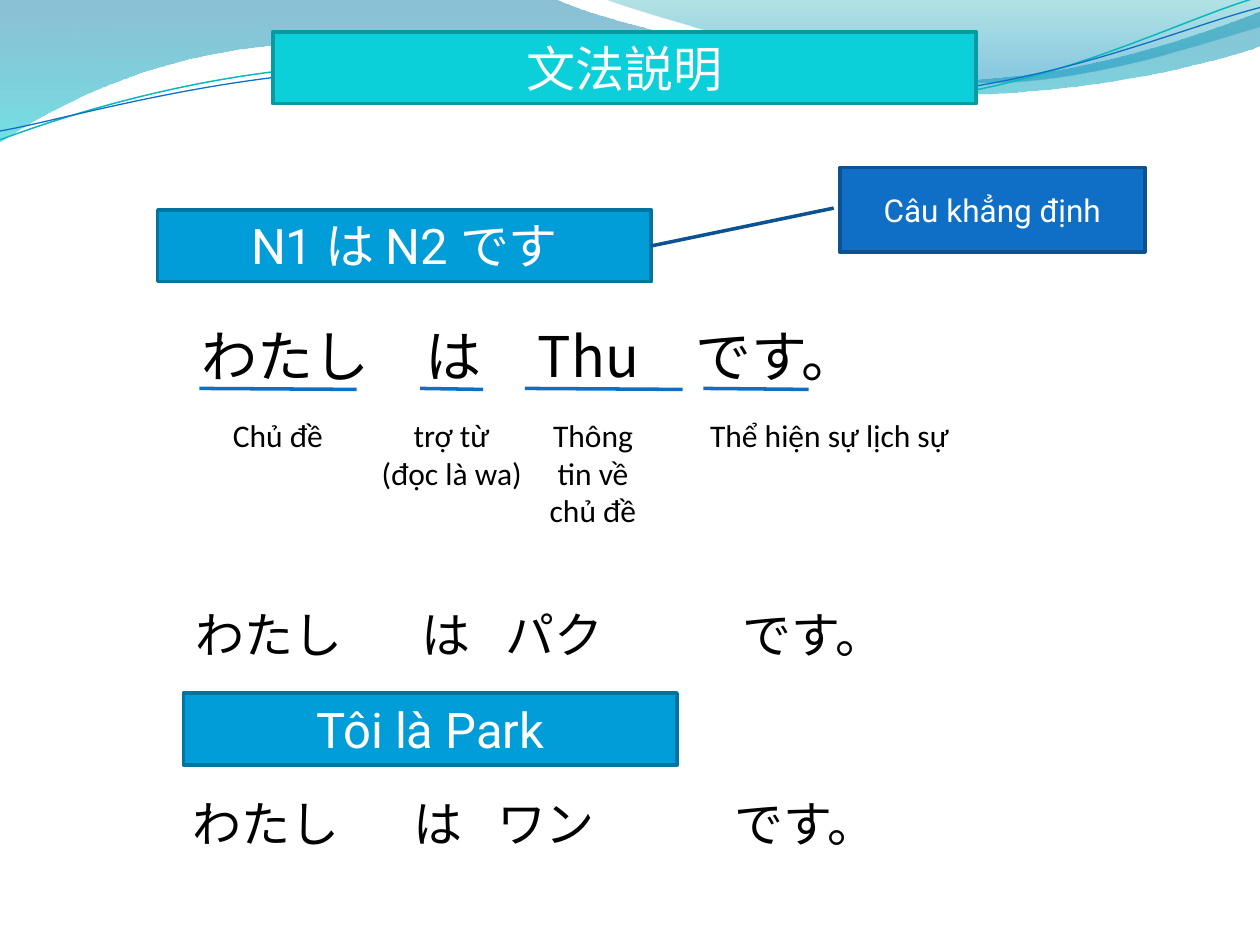
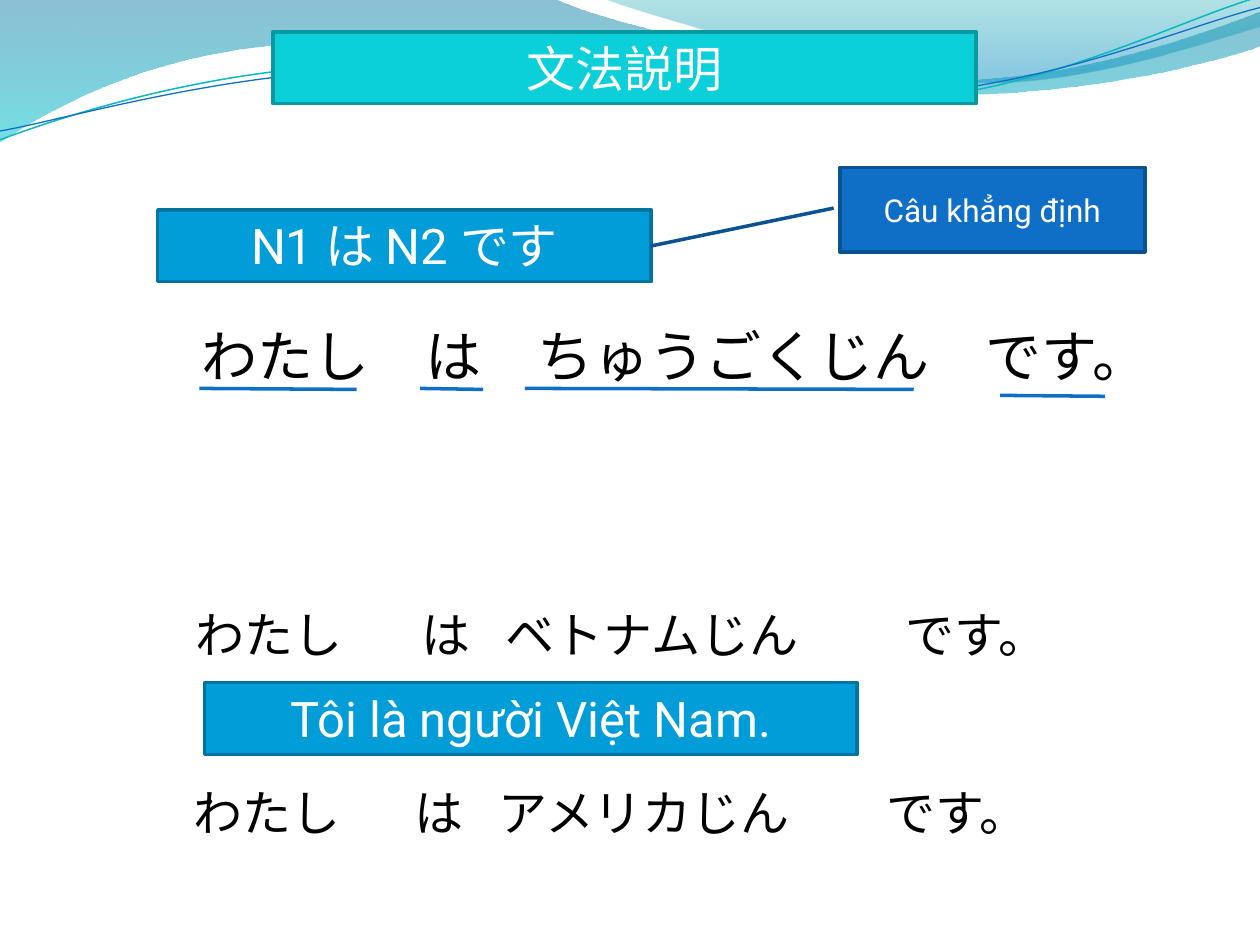
from dataclasses import dataclass

from lxml import etree
from pptx import Presentation
from pptx import util as u
from pptx.dml.color import RGBColor
from pptx.enum import shapes, text
from pptx.oxml.ns import qn

COLOURS = {
    "white": "FFFFFF", "black": "000000",
    "title": "0BD0D9", "title_edge": "089AA1",
    "banner": "009DD9", "banner_edge": "0074A1",
    "callout": "0F6FC6", "callout_edge": "0B5292",
    "wave_top": "0074A1", "wave_bottom": "00C6CF",
    "crest_top": "00A1A9", "crest_bottom": "008BBF",
    "teal_line": "0AB8BF", "blue_line": "0F6FC6",
}
JAPANESE, HEADING, LABEL = "Noto Sans CJK JP", "Roboto", "Calibri"
CENTRE, LEFT = text.PP_ALIGN.CENTER, text.PP_ALIGN.LEFT
ROW_HEIGHT = 1.45
PARTICLE_WIDTH = 1.9
UNDERLINE_TOP = 7.83
UNDERLINE_DROP = 0.02
LABEL_TOP = 8.26
UNITS = 1000  # freeform units to one wave unit


@dataclass
class Wave:
    """A curved outline: a start, then lines (1 point) or curves (3 points)."""
    start: tuple
    segments: list
    stops: tuple = ()  # colour, position, opacity in percent
    line: str = ""
    width: float = 0


@dataclass
class Underline:
    left: float
    right: float
    top: float = UNDERLINE_TOP


@dataclass
class Label:
    words: str
    left: float
    width: float
    height: float = 1.02


@dataclass
class Example:
    noun: str
    top: float
    left: float
    particle_left: float
    noun_width: float
    ending_left: float


@dataclass
class Lesson:
    sentence: str
    sentence_width: float
    underlines: list
    labels: list
    examples: list
    translation: str
    translation_box: tuple


WAVES = [
    Wave((0, 0), [
        [(4.4, -0.01)],
        [(4.76, 0.17), (6.64, 0.63), (7.58, 0.63)],
        [(8.53, 0.63), (9.58, 0.26), (10, 0.09)],
        [(10.01, 0.36)],
        [(9.83, 0.44), (8.7, 0.76), (7.46, 0.75)],
        [(6.22, 0.75), (3.82, 0.28), (2.57, 0.34)],
        [(1.29, 0.36), (0.46, 0.83), (-0.01, 1.13)],
        [(0, 0)],
    ], stops=(("wave_top", 0, 45), ("wave_bottom", 100, 55))),
    Wave((4.79, -0.01), [
        [(5.09, 0.11), (6.82, 0.62), (7.69, 0.65)],
        [(8.56, 0.69), (9.61, 0.32), (10, 0.21)],
        [(10, 0)],
        [(4.79, -0.01)],
    ], stops=(("crest_top", 0, 30), ("crest_bottom", 80, 45))),
    Wave((0, 1.11), [
        [(0.48, 0.93), (1.58, 0.57), (2.77, 0.52)],
        [(3.95, 0.47), (5.93, 0.89), (7.13, 0.8)],
        [(8.33, 0.71), (9.38, 0.15), (9.98, -0.02)],
    ], line="teal_line", width=0.85),
    Wave((0, 1.04), [
        [(0.47, 0.96), (1.64, 0.61), (2.83, 0.56)],
        [(4.03, 0.51), (5.97, 0.84), (7.17, 0.75)],
        [(8.36, 0.67), (9.41, 0.21), (10, 0.06)],
    ], line="blue_line", width=0.75),
]

TOPIC_LINE, PARTICLE_LINE = Underline(4.02, 7.19), Underline(8.47, 9.74)
LESSONS = [
    Lesson(
        "わたし　は　Thu　です。", 15.67,
        [TOPIC_LINE, Underline(10.58, 13.76), PARTICLE_LINE, Underline(14.18, 16.3)],
        [Label("Chủ đề", 4.23, 2.75),
         Label("Thông tin về chủ đề", 10.58, 2.75, 2.57),
         Label("trợ từ\n(đọc là wa)", 7.41, 3.39, 2.57),
         Label("Thể hiện sự lịch sự", 13.34, 6.77)],
        [Example("パク", 12.07, 3.7, 8.05, 4.66, 14.39),
         Example("ワン", 15.88, 3.63, 7.87, 4.66, 14.22)],
        "Tôi là Park", (3.7, 13.97, 9.95, ROW_HEIGHT)),
    Lesson(
        "わたし　は　ちゅうごくじん　です。", 18.63,
        [TOPIC_LINE, Underline(10.58, 18.42), PARTICLE_LINE,
         Underline(20.16, 22.28, 7.97)],
        [],
        [Example("ベトナムじん", 12.07, 3.7, 8.05, 7.41, 17.67),
         Example("アメリカじん", 15.66, 3.66, 7.9, 6.99, 17.3)],
        "Tôi là người Việt Nam.", (4.12, 13.76, 13.16, ROW_HEIGHT)),
]


def colour(name: str) -> RGBColor:
    return RGBColor.from_string(COLOURS[name])


def write(frame, words: str, *, size: float = 28, font: str = JAPANESE,
          ink: str = "black", align=LEFT, anchor=text.MSO_ANCHOR.TOP,
          fit=text.MSO_AUTO_SIZE.SHAPE_TO_FIT_TEXT) -> None:
    """Fill a text frame, one paragraph to each line of words."""
    frame.word_wrap = True
    frame.auto_size = fit
    frame.vertical_anchor = anchor
    for number, line in enumerate(words.split("\n")):
        para = frame.add_paragraph() if number else frame.paragraphs[0]
        para.alignment = align
        span = para.add_run()
        span.text = line
        span.font.size = u.Pt(size)
        span.font.name = font
        span.font.color.rgb = colour(ink)
        east_asian = etree.SubElement(span.font._element, qn("a:ea"))
        east_asian.set("typeface", JAPANESE)


def add_text(page, words: str, area: tuple, **style) -> None:
    box = page.shapes.add_textbox(*map(u.Cm, area))
    write(box.text_frame, words, **style)


def paint(box, name: str) -> None:
    """Fill and edge of a coloured box."""
    box.fill.solid()
    box.fill.fore_color.rgb = colour(name)
    box.line.color.rgb = colour(name + "_edge")
    box.line.width = u.Pt(2)


def add_banner(page, words: str, area: tuple) -> None:
    box = page.shapes.add_shape(shapes.MSO_SHAPE.RECTANGLE, *map(u.Cm, area))
    box.shadow.inherit = False
    paint(box, "banner")
    write(box.text_frame, words, font=HEADING, ink="white", align=CENTRE)


def add_callout(page, words: str) -> None:
    box = page.shapes.add_shape(shapes.MSO_SHAPE.LINE_CALLOUT_1,
                                u.Cm(16.93), u.Cm(3.38), u.Cm(6.15), u.Cm(1.7))
    for index, value in enumerate((0.48, -0.02, 0.93, -0.62)):
        box.adjustments[index] = value
    box.shadow.inherit = False
    paint(box, "callout")
    write(box.text_frame, words, size=18, font=HEADING, ink="white", align=CENTRE,
          anchor=text.MSO_ANCHOR.MIDDLE, fit=text.MSO_AUTO_SIZE.NONE)


def add_underline(page, underline: Underline) -> None:
    line = page.shapes.add_connector(
        shapes.MSO_CONNECTOR.STRAIGHT,
        u.Cm(underline.left), u.Cm(underline.top),
        u.Cm(underline.right), u.Cm(underline.top + UNDERLINE_DROP))
    line.line.color.rgb = colour("blue_line")
    line.line.width = u.Pt(2)
    etree.SubElement(line.element.spPr, qn("a:effectLst"))


def bend(shape, segments: list) -> None:
    """Join each run of three straight steps into one Bézier curve."""
    steps = iter(list(shape.element.spPr.iter(qn("a:lnTo"))))
    for segment in segments:
        first, *others = [next(steps) for _ in segment]
        if others:
            first.tag = qn("a:cubicBezTo")
        for step in others:
            first.append(step[0])
            step.getparent().remove(step)


def add_wave(page, wave: Wave):
    x, y = wave.start
    builder = page.shapes.build_freeform(x * UNITS, y * UNITS,
                                         scale=u.Cm(2.54) / UNITS)
    points = [(px * UNITS, py * UNITS) for part in wave.segments for px, py in part]
    builder.add_line_segments(points, close=bool(wave.stops))
    shape = builder.convert_to_shape()
    bend(shape, wave.segments)
    shape.shadow.inherit = False
    if wave.line:
        shape.fill.background()
        shape.line.color.rgb = colour(wave.line)
        shape.line.width = u.Pt(wave.width)
        return shape
    shape.line.fill.background()
    shape.fill.gradient()
    shape.fill.gradient_angle = 270
    for stop, (name, position, _) in zip(shape.fill.gradient_stops, wave.stops):
        stop.color.rgb = colour(name)
        stop.position = position / 100
    # Opacity of each gradient stop
    tints = list(shape.element.spPr.iter(qn("a:srgbClr")))
    for tint, (_, _, opacity) in zip(tints, wave.stops):
        etree.SubElement(tint, qn("a:alpha")).set("val", str(opacity * 1000))
    return shape


def move_waves_to_layout(page) -> None:
    """Draw the waves once, behind everything on the shared layout."""
    tree = page.slide_layout.shapes.element
    for number, wave in enumerate(WAVES):
        element = add_wave(page, wave).element
        element.nvSpPr.cNvPr.set("id", str(100 + number))
        tree.insert(2 + number, element)


def add_title(page, words: str) -> None:
    title = page.shapes.title
    title.left, title.top = u.Cm(5.5), u.Cm(0.64)
    title.width, title.height = u.Cm(14.18), u.Cm(ROW_HEIGHT)
    paint(title, "title")
    write(title.text_frame, words, font=HEADING, ink="white", align=CENTRE,
          fit=text.MSO_AUTO_SIZE.NONE)


def add_example(page, example: Example) -> None:
    noun_left = example.particle_left + PARTICLE_WIDTH
    words = [("わたし", example.left, 4.45, LEFT),
             ("は", example.particle_left, PARTICLE_WIDTH, CENTRE),
             (example.noun, noun_left, example.noun_width, LEFT),
             ("です。", example.ending_left, 4.02, CENTRE)]
    for word, left, width, align in words:
        add_text(page, word, (left, example.top, width, ROW_HEIGHT), align=align)


def add_lesson(page, lesson: Lesson) -> None:
    add_title(page, "文法説明")
    # Model sentence with its parts marked
    add_text(page, lesson.sentence, (3.81, 6.35, lesson.sentence_width, 1.63), size=32)
    for underline in lesson.underlines:
        add_underline(page, underline)
    for label in lesson.labels:
        add_text(page, label.words, (label.left, LABEL_TOP, label.width, label.height),
                 size=18, font=LABEL, align=CENTRE)
    # Grammar pattern
    add_banner(page, "N1 は N2 です", (3.18, 4.23, 9.95, ROW_HEIGHT))
    add_callout(page, "Câu khẳng định")
    # Examples and translation
    for example in lesson.examples:
        add_example(page, example)
    add_banner(page, lesson.translation, lesson.translation_box)


def main() -> None:
    deck = Presentation()
    deck.slide_width, deck.slide_height = u.Cm(25.4), u.Cm(19.05)
    layout = deck.slide_layouts[5]
    pages = [deck.slides.add_slide(layout) for _ in LESSONS]
    move_waves_to_layout(pages[0])
    for page, lesson in zip(pages, LESSONS):
        add_lesson(page, lesson)
    deck.save("out.pptx")


if __name__ == "__main__":
    main()
